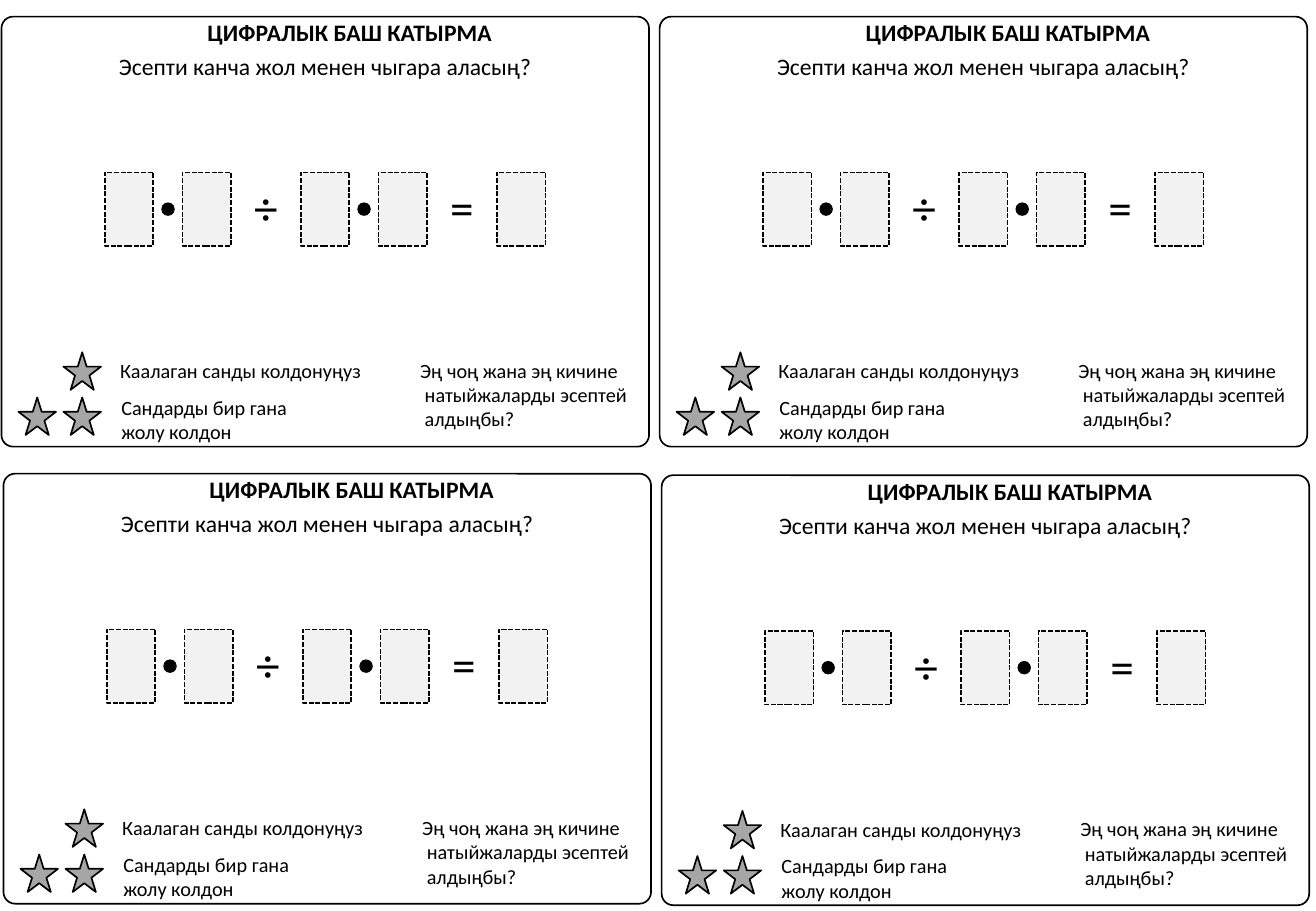
from pptx import Presentation
from pptx.dml.color import RGBColor
from pptx.enum.dml import MSO_LINE
from pptx.enum.shapes import MSO_SHAPE
from pptx.enum.text import MSO_AUTO_SIZE, PP_ALIGN
from pptx.util import Pt

COLORS = {"ink": "000000", "star": "A6A6A6", "digit": "F2F2F2"}
FONT = "Calibri"

TITLE = ["ЦИФРАЛЫК БАШ КАТЫРМА"]
QUESTION = ["Эсепти канча жол менен чыгара аласың?"]
ANY_NUMBER = ["Каалаган санды колдонуңуз"]
USE_ONCE = ["Сандарды бир гана", "жолу колдон"]
EXTREMES = ["Эң чоң жана эң кичине", "натыйжаларды эсептей", "алдыңбы?"]
OPERATORS = ["÷", "="]

CARD_ORIGINS = [(0.9, 9.9), (391, 9.9), (2.1, 280.8), (392.2, 281.7)]
CARD_SIZE = (383.8, 254.9)
STARS = [(36.7, 198.9), (36.7, 225.7), (10, 225.7)]
STAR_SIZE = 22.3
DIGIT_SIZE = (28.8, 43.6)
DIGIT_TOP = 92.3
FIRST_DIGIT = 61.2
DIGIT_GAP = 46
DOT_SIZE = 8
DOT_OFFSET = (33.5, 17.8)
TERM_STEP = 116.2
FIRST_OPERATOR = 142.3


def add_text(shapes, lines, left, top, width, height, size=12, bold=False,
             align=PP_ALIGN.LEFT, inset=3.6, indent=0):
    frame = shapes.add_textbox(Pt(left), Pt(top), Pt(width), Pt(height)).text_frame
    frame.word_wrap = False
    frame.auto_size = MSO_AUTO_SIZE.SHAPE_TO_FIT_TEXT
    frame.margin_top = frame.margin_bottom = Pt(inset)
    for index, line in enumerate(lines):
        paragraph = frame.paragraphs[0] if index == 0 else frame.add_paragraph()
        if index and indent:
            paragraph._p.get_or_add_pPr().set("marL", str(Pt(indent)))
        paragraph.alignment = align
        run = paragraph.add_run()
        run.text = line
        run.font.name = FONT
        run.font.size = Pt(size)
        run.font.bold = bold
        run.font.color.rgb = RGBColor.from_string(COLORS["ink"])


def add_figure(shapes, kind, left, top, width, height, fill=None, outlined=True):
    figure = shapes.add_shape(kind, Pt(left), Pt(top), Pt(width), Pt(height))
    figure.shadow.inherit = False
    if fill:
        figure.fill.solid()
        figure.fill.fore_color.rgb = RGBColor.from_string(COLORS[fill])
    else:
        figure.fill.background()
    if outlined:
        figure.line.color.rgb = RGBColor.from_string(COLORS["ink"])
        figure.line.width = Pt(1)
    else:
        figure.line.fill.background()
    return figure


def add_digit(shapes, left, top):
    digit = add_figure(shapes, MSO_SHAPE.RECTANGLE, left, top, *DIGIT_SIZE, fill="digit")
    digit.line.dash_style = MSO_LINE.SQUARE_DOT
    digit.line._get_or_add_ln().prstDash.set("val", "sysDash")


def add_product(shapes, left, top):
    product = shapes.add_group_shape().shapes
    add_digit(product, left + DIGIT_GAP, top)
    add_figure(product, MSO_SHAPE.OVAL, left + DOT_OFFSET[0], top + DOT_OFFSET[1],
               DOT_SIZE, DOT_SIZE, fill="ink", outlined=False)
    add_digit(product, left, top)


def add_card(shapes, x, y):
    card = add_figure(shapes, MSO_SHAPE.ROUNDED_RECTANGLE, x, y, *CARD_SIZE)
    card.adjustments[0] = 0.027
    add_text(shapes, TITLE, x + 115, y + 1, 184.3, 17, size=14, bold=True, inset=0)
    add_text(shapes, QUESTION, x + 61.2, y + 17.5, 261.4, 24.2, size=14,
             align=PP_ALIGN.CENTER)
    for star_x, star_y in STARS:
        add_figure(shapes, MSO_SHAPE.STAR_5_POINT, x + star_x, y + star_y,
                   STAR_SIZE, STAR_SIZE, fill="star")
    add_text(shapes, ANY_NUMBER, x + 63.2, y + 198.9, 159, 21.8)
    add_text(shapes, USE_ONCE, x + 63.9, y + 220.7, 116.6, 36.3)
    add_text(shapes, EXTREMES, x + 241.1, y + 198.9, 139, 80, indent=2.7)
    for index, operator in enumerate(OPERATORS):
        step = index * TERM_STEP
        add_text(shapes, [operator], x + FIRST_OPERATOR + step, y + DIGIT_TOP,
                 28.8, 41.2, size=28, align=PP_ALIGN.CENTER)
        add_product(shapes, x + FIRST_DIGIT + step, y + DIGIT_TOP)
    add_digit(shapes, x + FIRST_DIGIT + len(OPERATORS) * TERM_STEP, y + DIGIT_TOP)


def main():
    deck = Presentation()
    deck.slide_width, deck.slide_height = Pt(780), Pt(540)
    slide = deck.slides.add_slide(deck.slide_layouts[6])
    for x, y in CARD_ORIGINS:
        add_card(slide.shapes, x, y)
    deck.save("out.pptx")


if __name__ == "__main__":
    main()
